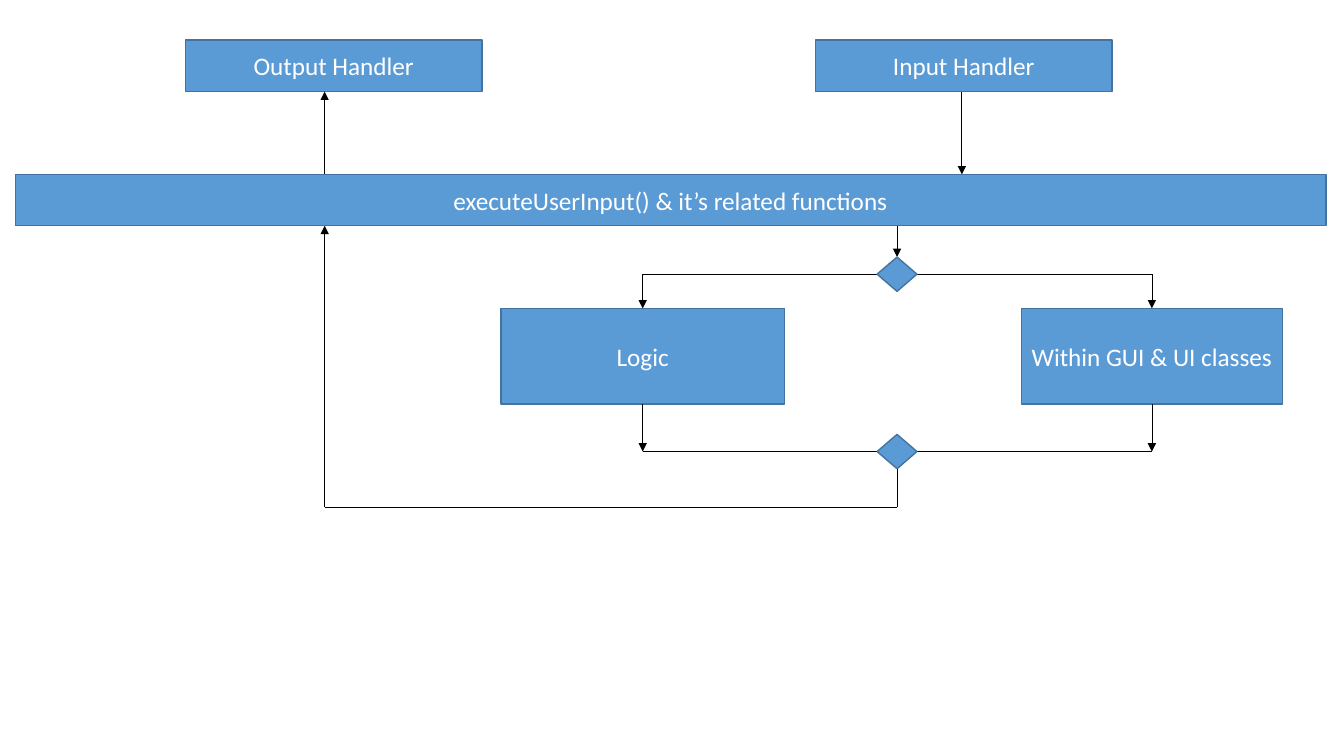
from collections import namedtuple
from lxml.etree import SubElement
from pptx import Presentation
from pptx.dml.color import RGBColor
from pptx.enum.shapes import MSO_CONNECTOR as Link, MSO_SHAPE as Kind
from pptx.enum.text import MSO_ANCHOR as Anchor, PP_ALIGN as Align
from pptx.oxml.ns import qn
from pptx.util import Inches, Pt

BLUE = RGBColor(0x5B, 0x9B, 0xD5)
EDGE = RGBColor(0x43, 0x73, 0x9E)
WHITE = RGBColor(0xFF, 0xFF, 0xFF)
BLACK = RGBColor(0, 0, 0)


class Box(namedtuple("Box", "left top width height")):
    """A region; its pieces are placed in percent of its size."""

    def spot(self, x, y):
        """Give the point at x and y percent of the box."""
        return (round(self.left + self.width * x / 100),
                round(self.top + self.height * y / 100))

    def area(self, x, y, w, h):
        """Give the smaller box at x and y percent, w by h percent."""
        return Box(*self.spot(x, y), round(self.width * w / 100),
                   round(self.height * h / 100))


def block(slide, box, text="", kind=Kind.RECTANGLE):
    """Draw a blue shape that fills the box, with centred text."""
    shape = slide.shapes.add_shape(kind, *box)
    shape.shadow.inherit = False
    shape.fill.solid()
    shape.fill.fore_color.rgb = BLUE
    shape.line.color.rgb = EDGE
    shape.line.width = Pt(1)
    if text:
        frame = shape.text_frame
        frame.word_wrap = True
        frame.vertical_anchor = Anchor.MIDDLE
        frame.margin_left = frame.margin_right = Inches(0.05)
        frame.text = text
        para = frame.paragraphs[0]
        para.alignment = Align.CENTER
        font = para.runs[0].font
        font.name, font.size = "Calibri", Pt(18)
        font.color.rgb = WHITE


def wire(slide, box, start, end, arrow=False):
    """Draw a thin line between two points of the box."""
    line = slide.shapes.add_connector(
        Link.STRAIGHT, *box.spot(*start), *box.spot(*end))
    line.line.color.rgb = BLACK
    line.line.width = Pt(0.5)
    props = line.element.spPr
    if arrow:
        SubElement(props.find(qn("a:ln")), qn("a:tailEnd"), type="triangle")
    SubElement(props, qn("a:effectLst"))


def handlers(slide, box):
    """Place both handlers at the top, with their arrows below."""
    wide, high = 32, 38.35
    block(slide, box.area(0, 0, wide, high), "Output Handler")
    block(slide, box.area(100 - wide, 0, wide, high), "Input Handler")
    wire(slide, box, (15.02, 100), (15.02, high), True)
    wire(slide, box, (83.79, high), (83.79, 100), True)


def branch(slide, box):
    """Split the flow into two classes of work and merge it again."""
    top, high = 34.02, 39.42
    wide, tall = 5.1, 14.14
    hub = 50.68
    split, merge = 19.93, 100 - tall / 2
    west, east = hub - wide / 2, hub + wide / 2
    wire(slide, box, (hub, 0), (hub, split - tall / 2), True)
    for text, left, width, side in (
            ("Logic", 0, 36.26, west),
            ("Within GUI & UI classes", 66.58, 33.42, east)):
        mid = left + width / 2
        block(slide, box.area(left, top, width, high), text)
        wire(slide, box, (mid, split), (mid, top), True)
        wire(slide, box, (mid, top + high), (mid, merge), True)
        for row in (split, merge):
            wire(slide, box, (side, row), (mid, row))
    for row in (split, merge):
        block(slide, box.area(west, row - tall / 2, wide, tall),
              kind=Kind.FLOWCHART_DECISION)


def loop(slide, box):
    """Lead the merged flow back up along the left of the box."""
    wire(slide, box, (100, 86.38), (100, 100))
    wire(slide, box, (100, 100), (0, 100))
    wire(slide, box, (0, 100), (0, 0), True)


deck = Presentation()
deck.slide_width, deck.slide_height = Inches(13.33), Inches(7.5)
page = deck.slides.add_slide(deck.slide_layouts[6])
full = Box(0, 0, deck.slide_width, deck.slide_height)
bar, base = 23.07, 29.87

handlers(page, full.area(13.8, 5.3, 68.94, bar - 5.3))
block(page, full.area(1.13, bar, 97.52, base - bar),
      "executeUserInput() & it\u2019s related functions")
branch(page, full.area(37.28, base, 58.14, 32.13))
loop(page, full.area(24.16, base, 42.61, 37.2))
deck.save("out.pptx")
